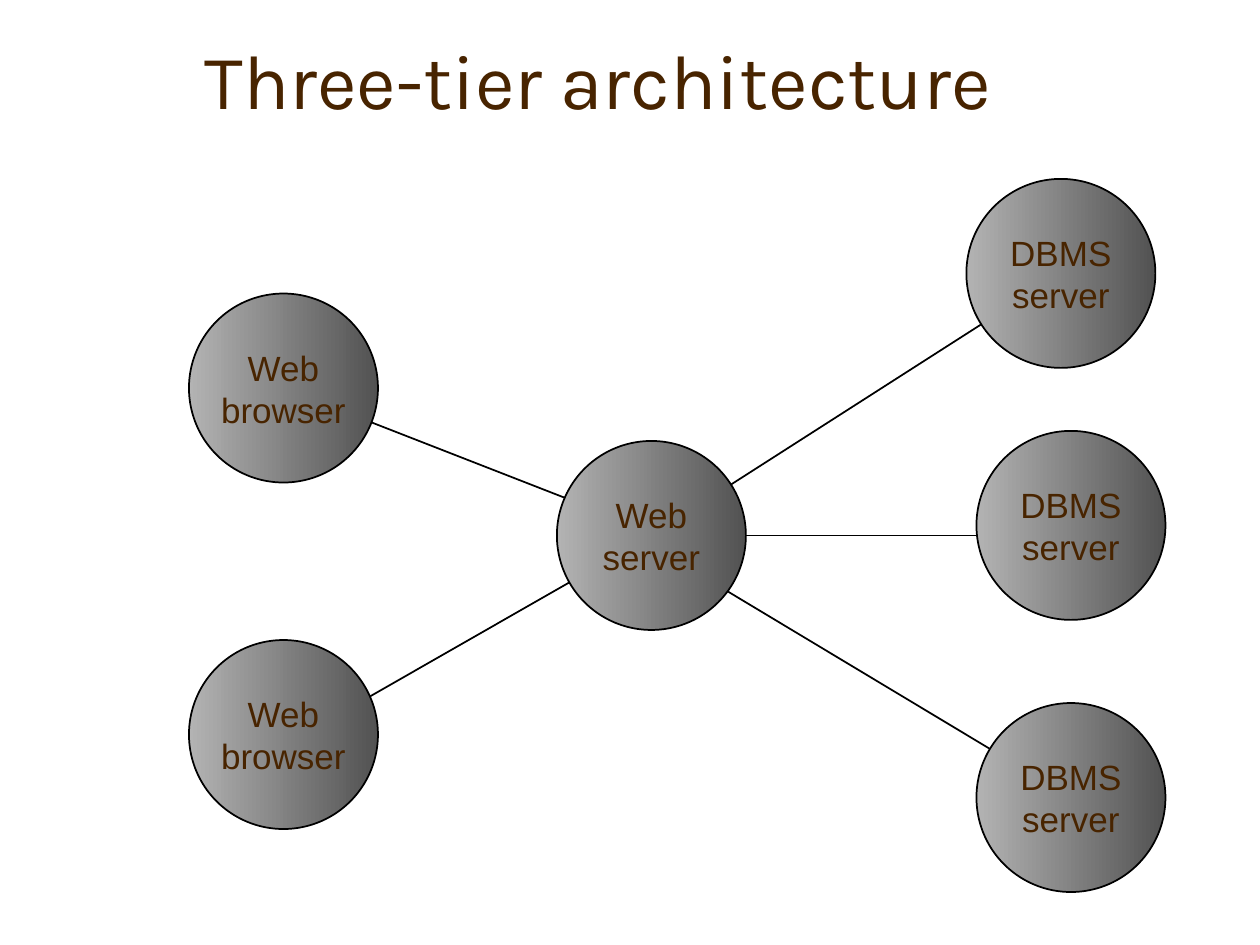
from pptx import Presentation
from pptx.dml.color import RGBColor
from pptx.enum.shapes import MSO_CONNECTOR, MSO_SHAPE
from pptx.enum.text import MSO_ANCHOR, PP_ALIGN
from pptx.oxml.ns import qn
from pptx.util import Inches, Pt
from lxml.etree import SubElement

TITLE = "Three-tier architecture"
BROWN, BLACK = "482400", "000000"
GRADIENT = ("525252", "B3B3B3")
DIAMETER = 1.5

# label, left, top
NODES = [
    ("Web\nbrowser", 1.5, 2.33),
    ("Web\nbrowser", 1.5, 5.08),
    ("Web\nserver", 4.42, 3.5),
    ("DBMS\nserver", 7.67, 1.42),
    ("DBMS\nserver", 7.75, 3.42),
    ("DBMS\nserver", 7.75, 5.58),
]

# Links run between circle interiors; the circles cover their ends
LINKS = [
    ((2.25, 5.92), (5.17, 4.25)),
    ((8.5, 6.33), (5.17, 4.33)),
    ((8.42, 2.17), (5.17, 4.25)),
    ((2.25, 3.08), (5.25, 4.25)),
    ((5.5, 4.25), (8.58, 4.25)),
]


def color(value):
    return RGBColor.from_string(value)


def write(shape, text, font_name, size, wrap):
    frame = shape.text_frame
    frame.text = text
    frame.word_wrap = wrap
    frame.vertical_anchor = MSO_ANCHOR.MIDDLE
    for para in frame.paragraphs:
        para.alignment = PP_ALIGN.CENTER
        for span in para.runs:
            span.font.name = font_name
            span.font.size = Pt(size)
            span.font.color.rgb = color(BROWN)


def outline(shape):
    shape.line.color.rgb = color(BLACK)
    shape.line.width = Pt(1)


def add_link(page, start, end):
    points = [Inches(value) for value in start + end]
    link = page.shapes.add_connector(MSO_CONNECTOR.STRAIGHT, *points)
    outline(link)
    SubElement(link._element.spPr, qn("a:effectLst"))


def add_node(page, label, left, top):
    node = page.shapes.add_shape(
        MSO_SHAPE.OVAL, Inches(left), Inches(top), Inches(DIAMETER), Inches(DIAMETER))
    node.shadow.inherit = False
    node.fill.gradient()
    node.fill.gradient_angle = 180
    for position, (stop, shade) in enumerate(zip(node.fill.gradient_stops, GRADIENT)):
        stop.position = position
        stop.color.rgb = color(shade)
    outline(node)
    write(node, label, "Arial", 20, False)


def main():
    deck = Presentation()
    deck.slide_width, deck.slide_height = Inches(10), Inches(7.5)
    page = deck.slides.add_slide(deck.slide_layouts[6])
    for start, end in LINKS:
        add_link(page, start, end)
    title = page.shapes.add_textbox(0, 0, Inches(9.5), Inches(1.25))
    write(title, TITLE, "Karla", 44, True)
    for label, left, top in NODES:
        add_node(page, label, left, top)
    deck.save("out.pptx")


if __name__ == "__main__":
    main()
